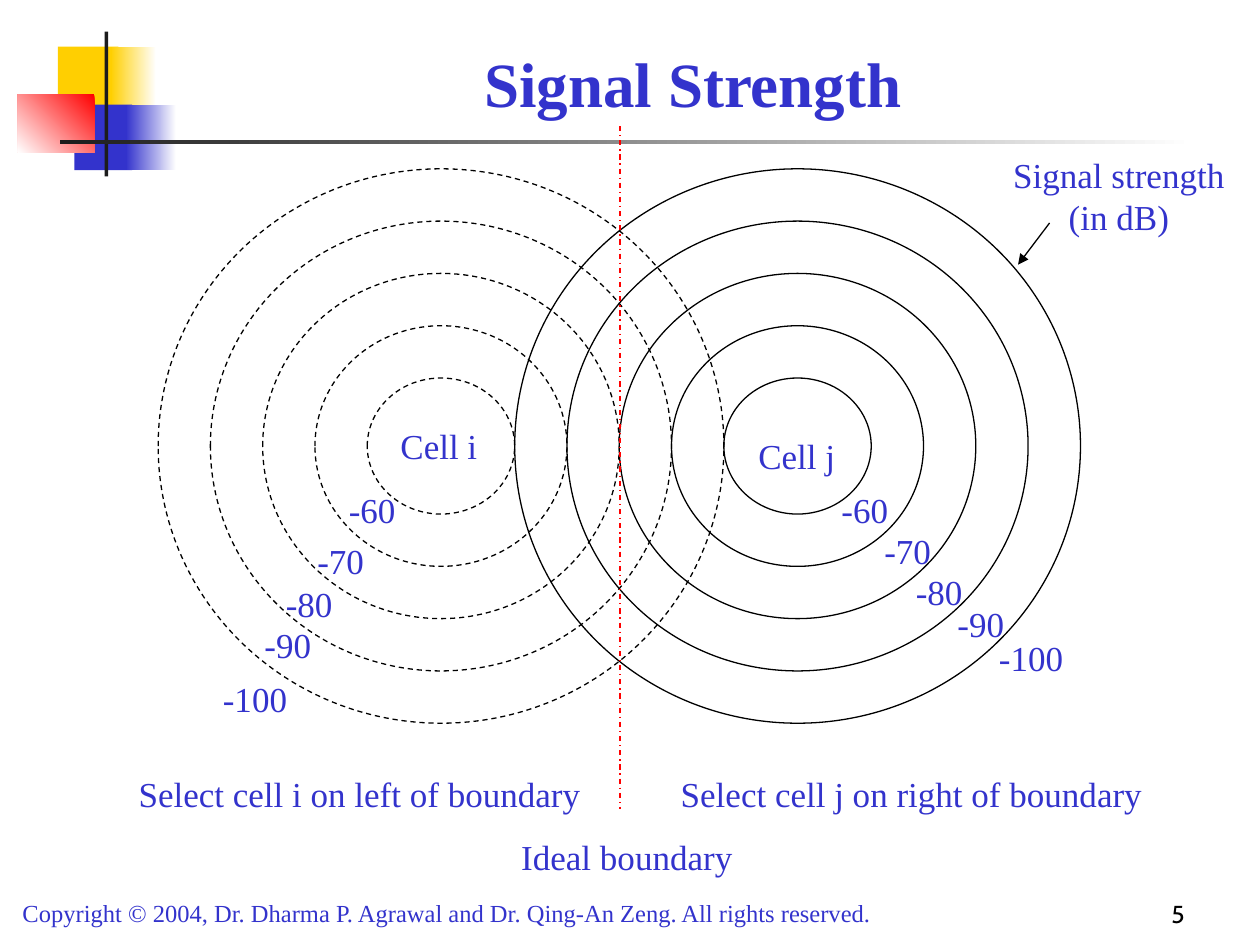
from lxml import etree
from pptx import Presentation
from pptx.dml.color import RGBColor
from pptx.enum.dml import MSO_LINE
from pptx.enum.shapes import MSO_CONNECTOR, MSO_SHAPE
from pptx.enum.text import MSO_ANCHOR, MSO_AUTO_SIZE, PP_ALIGN
from pptx.oxml.ns import qn
from pptx.util import Inches, Pt

LEFT, CENTER, RIGHT = PP_ALIGN.LEFT, PP_ALIGN.CENTER, PP_ALIGN.RIGHT
TOP, BOTTOM = MSO_ANCHOR.TOP, MSO_ANCHOR.BOTTOM
NO_AUTOFIT = MSO_AUTO_SIZE.NONE
DASH, DASH_DOT = MSO_LINE.DASH, MSO_LINE.DASH_DOT
RECTANGLE, OVAL = MSO_SHAPE.RECTANGLE, MSO_SHAPE.OVAL
STRAIGHT = MSO_CONNECTOR.STRAIGHT

SERIF = "Times New Roman"
BLUE, YELLOW, RED = "3333CC", "FFCF01", "FF0000"
WHITE, BLACK, CHARCOAL = "FFFFFF", "000000", "1C1C1C"

RING_STEP = 0.83
INNER_WIDTH, INNER_HEIGHT = 1.17, 1.08
LABEL_HEIGHT = 0.44


def color(hex_string):
    return RGBColor.from_string(hex_string)


def inches(box):
    return [Inches(length) for length in box]


def write(shape, text, size, align, font=SERIF, hex_string=BLUE, bold=False, anchor=TOP):
    frame = shape.text_frame
    frame.word_wrap = True
    frame.auto_size = NO_AUTOFIT
    frame.vertical_anchor = anchor
    frame.text = text
    para = frame.paragraphs[0]
    para.alignment = align
    para.font.name = font
    para.font.size = Pt(size)
    para.font.bold = bold
    para.font.color.rgb = color(hex_string)


def add_label(page, box, text, size=20, align=LEFT, **style):
    write(page.shapes.add_textbox(*inches(box)), text, size, align, **style)


def add_block(page, box, start, end=None, angle=180):
    """Add a borderless rectangle, solid or graded from start to end."""
    block = page.shapes.add_shape(RECTANGLE, *inches(box))
    block.shadow.inherit = False
    block.line.fill.background()
    if end is None:
        block.fill.solid()
        block.fill.fore_color.rgb = color(start)
        return
    block.fill.gradient()
    block.fill.gradient_angle = angle
    for stop, hex_string in zip(block.fill.gradient_stops, (start, end)):
        stop.color.rgb = color(hex_string)


def add_line(page, start, end, hex_string):
    line = page.shapes.add_connector(STRAIGHT, *inches(start + end))
    line.line.color.rgb = color(hex_string)
    line.line.width = Pt(0.75)
    etree.SubElement(line._element.spPr, qn("a:effectLst"))
    return line


def add_corner_motif(page):
    add_block(page, (0.46, 0.37, 0.48, 0.52), YELLOW)
    add_block(page, (0.88, 0.37, 0.36, 0.52), WHITE, YELLOW)
    add_block(page, (0.59, 0.83, 0.46, 0.52), BLUE)
    add_block(page, (1, 0.83, 0.4, 0.52), WHITE, BLUE)
    add_block(page, (0.14, 0.75, 0.61, 0.46), RED, WHITE, angle=225)
    add_block(page, (0.83, 0.25, 0.03, 1.15), CHARCOAL)
    add_block(page, (0.48, 1.11, 9, 0.03), WHITE, CHARCOAL)


def add_title(page, box, text):
    title = page.shapes.title
    title.left, title.top, title.width, title.height = inches(box)
    write(title, text, 36, CENTER, bold=True, anchor=BOTTOM)


def add_cell(page, center, name, name_box, levels, dash=None):
    """Add concentric rings about center, the cell name and a level per ring."""
    center_x, center_y = center
    for index in range(len(levels)):
        width = INNER_WIDTH + index * RING_STEP
        height = INNER_HEIGHT + index * RING_STEP
        box = (center_x - width / 2, center_y - height / 2, width, height)
        ring = page.shapes.add_shape(OVAL, *inches(box))
        ring.shadow.inherit = False
        ring.fill.background()
        ring.line.color.rgb = color(BLACK)
        ring.line.width = Pt(0.75)
        ring.line.dash_style = dash
    add_label(page, name_box, name)
    for index, (left, top, width) in enumerate(levels):
        add_label(page, (left, top, width, LABEL_HEIGHT), str(-60 - 10 * index))


def add_boundary(page):
    boundary = add_line(page, (4.92, 1), (4.92, 6.42), RED)
    boundary.line.dash_style = DASH_DOT
    for box, text in (
        ((0.83, 6.08, 4.05, LABEL_HEIGHT), "Select cell i on left of boundary"),
        ((5.22, 6.08, 4.03, LABEL_HEIGHT), "Select cell j on right of boundary"),
        ((3.95, 6.58, 2.05, LABEL_HEIGHT), "Ideal boundary"),
    ):
        add_label(page, box, text, align=CENTER)


def add_strength_note(page):
    add_label(page, (7.92, 1.17, 1.92, 0.77), "Signal strength (in dB)", align=CENTER)
    arrow = add_line(page, (8.33, 1.77), (8.08, 2.1), BLACK)
    etree.SubElement(arrow.line._get_or_add_ln(), qn("a:tailEnd"), type="triangle")


def add_footer(page):
    add_label(
        page,
        (0.08, 7.08, 7.58, 0.34),
        "Copyright © 2004, Dr. Dharma P. Agrawal and Dr. Qing-An Zeng. All rights reserved.",
        size=14,
    )
    add_label(page, (7.42, 6.92, 2.08, 0.5), "5", size=14, align=RIGHT,
              font="Cabin", hex_string=BLACK, anchor=BOTTOM)


def main():
    deck = Presentation()
    deck.slide_width, deck.slide_height = Inches(10), Inches(7.5)
    page = deck.slides.add_slide(deck.slide_layouts[5])
    add_corner_motif(page)
    add_title(page, (1.25, 0.17, 8.5, 0.83), "Signal Strength")
    add_cell(
        page, (3.5, 3.54), "Cell i", (3.08, 3.32, 0.83, LABEL_HEIGHT),
        [(2.67, 3.83, 0.67), (2.42, 4.23, 0.67), (2.17, 4.57, 0.67),
         (2, 4.9, 0.58), (1.67, 5.33, 0.75)],
        dash=DASH,
    )
    add_cell(
        page, (6.33, 3.54), "Cell j", (5.92, 3.4, 0.92, LABEL_HEIGHT),
        [(6.58, 3.83, 0.83), (6.92, 4.15, 0.83), (7.17, 4.48, 0.83),
         (7.5, 4.73, 0.83), (7.83, 5, 0.83)],
    )
    add_boundary(page)
    add_strength_note(page)
    add_footer(page)
    deck.save("out.pptx")


if __name__ == "__main__":
    main()
